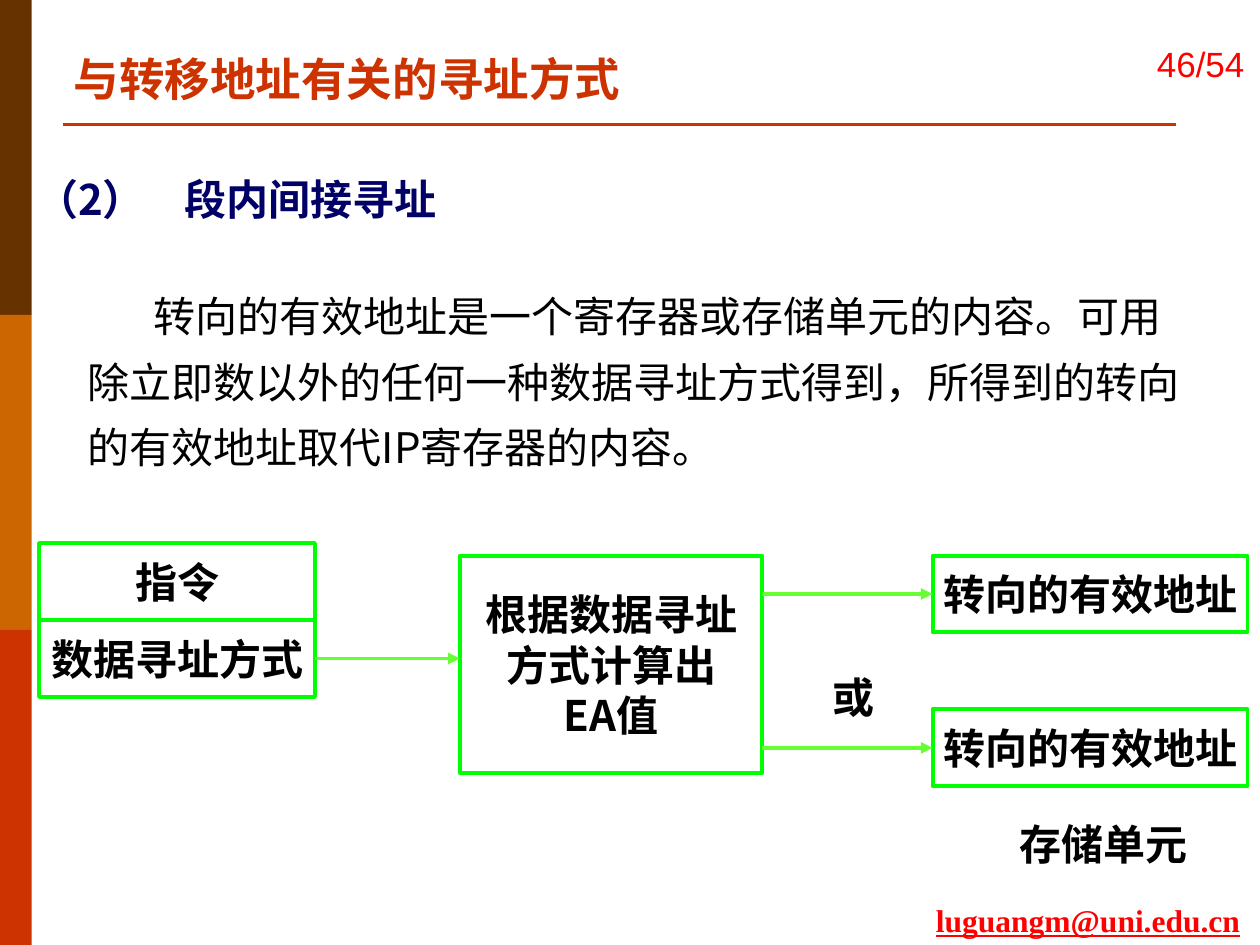
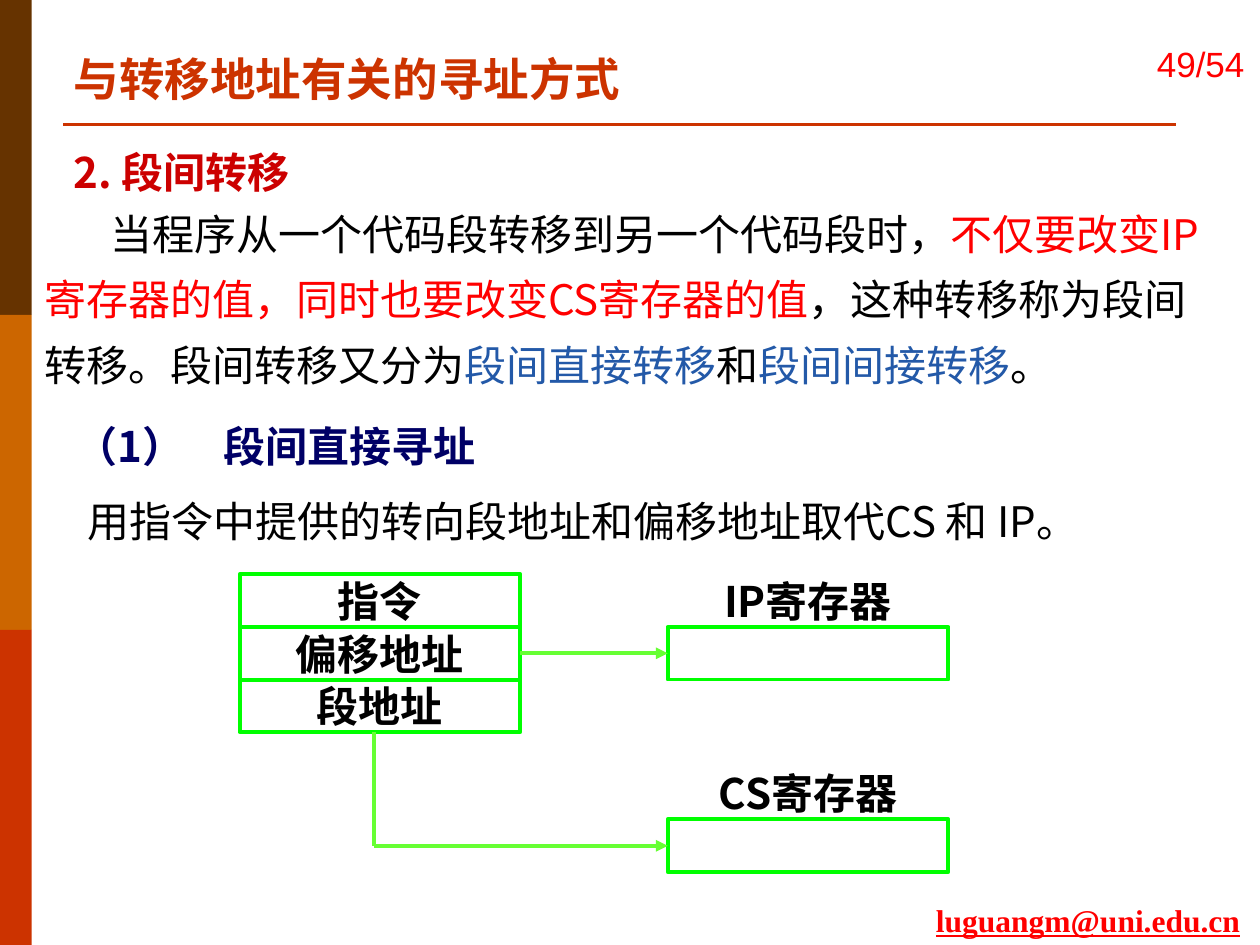
from dataclasses import dataclass
from typing import NamedTuple

from lxml.etree import SubElement
from pptx import Presentation
from pptx.dml.color import RGBColor
from pptx.enum.shapes import MSO_CONNECTOR as Connector, MSO_SHAPE as Preset
from pptx.enum.text import MSO_ANCHOR as Anchor, MSO_AUTO_SIZE as AutoSize, PP_ALIGN as Align
from pptx.oxml.ns import qn
from pptx.util import Cm, Pt

SANS, SERIF = "Noto Sans CJK SC", "Times New Roman"
BLACK, RED, BLUE = "000000", "FF0000", "2359A8"
BROWN, ORANGE, RUST = "663300", "CC6600", "CC3300"
NAVY, CRIMSON = "000066", "CC0000"
BOX_GREEN, ARROW_GREEN = "00FF00", "66FF33"
TITLE = "与转移地址有关的寻址方式"
PAGE_COUNT = 54


class Area(NamedTuple):
    """A rectangle in centimetres."""
    left: float
    top: float
    width: float
    height: float


class Span(NamedTuple):
    text: str
    color: str = BLACK


@dataclass(frozen=True)
class TextStyle:
    size: float = 24
    color: str = BLACK
    bold: bool = False
    underline: bool = False
    font: str = SANS
    align: Align = Align.LEFT
    anchor: Anchor = Anchor.TOP
    line_spacing: float = 1.0
    inset: tuple[float, float] = (0.25, 0.13)
    indent: float = 0
    margin: float = 0


WIDE_INSET = (0.3, 0.15)
TITLE_STYLE = TextStyle(size=26, color=RUST, bold=True, font=SERIF)
EMAIL_STYLE = TextStyle(size=18, color=RED, bold=True, underline=True, font=SERIF,
                        align=Align.RIGHT)
NUMBER_STYLE = TextStyle(size=20, color=RED, font="Arial", align=Align.CENTER,
                         anchor=Anchor.MIDDLE, inset=(0, 0.13))
SECTION_STYLE = TextStyle(color=CRIMSON, bold=True)
# The number hangs left of the heading, which starts after a tab.
HEADING_STYLE = TextStyle(color=NAVY, bold=True, inset=WIDE_INSET, indent=-2.99, margin=2.99)
BODY_STYLE = TextStyle(line_spacing=1.3, indent=1.33)
WIDE_BODY_STYLE = TextStyle(line_spacing=1.3, inset=WIDE_INSET, indent=1.33)
NOTE_STYLE = TextStyle(line_spacing=1.3, inset=WIDE_INSET)
DIAGRAM_STYLE = TextStyle(bold=True, align=Align.CENTER, anchor=Anchor.MIDDLE, inset=(0, 0))


def rgb(color: str) -> RGBColor:
    return RGBColor.from_string(color)


def place(shape, area: Area) -> None:
    shape.left, shape.top, shape.width, shape.height = map(Cm, area)


def write(shape, paragraphs: list[list[Span]], style: TextStyle) -> None:
    frame = shape.text_frame
    frame.text = "\n".join("" for _ in paragraphs)
    frame.word_wrap = True
    frame.auto_size = AutoSize.NONE
    frame.vertical_anchor = style.anchor
    frame.margin_left = frame.margin_right = Cm(style.inset[0])
    frame.margin_top = frame.margin_bottom = Cm(style.inset[1])
    for para, spans in zip(frame.paragraphs, paragraphs):
        para.alignment = style.align
        para.line_spacing = style.line_spacing
        para.space_before = Pt(0)
        for span in spans:
            run = para.add_run()
            run.text = span.text
            font = run.font
            font.name, font.size = style.font, Pt(style.size)
            font.bold, font.underline = style.bold, style.underline
            font.color.rgb = rgb(span.color)
    for properties in shape.element.iter(qn("a:rPr")):
        SubElement(properties, qn("a:ea")).set("typeface", SANS)
    for properties in shape.element.iter(qn("a:pPr")):
        properties.set("marL", str(Cm(style.margin)))
        properties.set("indent", str(Cm(style.indent)))
        SubElement(properties, qn("a:buNone"))
        if style.margin:
            stops = SubElement(properties, qn("a:tabLst"))
            SubElement(stops, qn("a:tab"), pos=str(Cm(style.margin)), algn="l")


def write_plain(shape, text: str, style: TextStyle) -> None:
    """Write text in the one colour of its style, a paragraph for each line."""
    write(shape, [[Span(line, style.color)] for line in text.split("\n")], style)


def add_text(page, area: Area, text: str, style: TextStyle) -> None:
    box = page.shapes.add_textbox(*map(Cm, area))
    write_plain(box, text, style)


def add_bar(page, area: Area, color: str) -> None:
    bar = page.shapes.add_shape(Preset.RECTANGLE, *map(Cm, area))
    bar.shadow.inherit = False
    bar.fill.solid()
    bar.fill.fore_color.rgb = rgb(color)
    bar.line.fill.background()


def add_box(page, area: Area, text: str = ""):
    """Add a green outlined diagram box."""
    box = page.shapes.add_shape(Preset.RECTANGLE, *map(Cm, area))
    box.shadow.inherit = False
    box.fill.background()
    box.line.color.rgb = rgb(BOX_GREEN)
    box.line.width = Pt(2.25)
    if text:
        write_plain(box, text, DIAGRAM_STYLE)
    return box


def add_line(page, start: tuple[float, float], end: tuple[float, float],
             color: str = ARROW_GREEN, width: float = 2.25, arrow: bool = False):
    line = page.shapes.add_connector(Connector.STRAIGHT, *map(Cm, start + end))
    line.line.color.rgb = rgb(color)
    line.line.width = Pt(width)
    if arrow:
        outline = line.element.spPr.find(qn("a:ln"))
        SubElement(outline, qn("a:tailEnd"), type="triangle")
    SubElement(line.element.spPr, qn("a:effectLst"))
    return line


def add_arrow(page, start: tuple[float, float], end: tuple[float, float],
              source=None, target=None) -> None:
    """Add a rightward arrow, joined to the source's right and target's left."""
    arrow = add_line(page, start, end, arrow=True)
    if source is not None:
        arrow.begin_connect(source, 3)
    if target is not None:
        arrow.end_connect(target, 1)


def furnish_layout(page, layout) -> None:
    """Draw the shared frame on a fresh page and hand it over to the layout."""
    bar_height = 6.35
    for index, color in enumerate((BROWN, ORANGE, RUST)):
        add_bar(page, Area(0, index * bar_height, 0.64, bar_height), color)
    add_line(page, (1.27, 2.51), (23.7, 2.51), RUST, 1.5)
    add_text(page, Area(17.25, 18.03, 8, 1.02), "luguangm@uni.edu.cn", EMAIL_STYLE)
    for shape in list(page.shapes):
        if not shape.is_placeholder:
            layout.shapes.element.append(shape.element)


def add_page(deck, layout, number: int, body_area: Area, body: list[Span], style: TextStyle):
    page = deck.slides.add_slide(layout)
    if len(deck.slides) == 1:
        furnish_layout(page, layout)
    place(page.shapes.title, Area(1.24, 0.89, 17.75, 1.37))
    write_plain(page.shapes.title, TITLE, TITLE_STYLE)
    place(page.placeholders[1], body_area)
    write(page.placeholders[1], [body], style)
    add_text(page, Area(23.01, 0.03, 2.39, 2.49), f"{number}/{PAGE_COUNT}", NUMBER_STYLE)
    return page


def build_indirect_page(deck, layout) -> None:
    body = [Span("转向的有效地址是一个寄存器或存储单元的内容。可用除立即数以外的任何一种"
                 "数据寻址方式得到，所得到的转向的有效地址取代IP寄存器的内容。")]
    page = add_page(deck, layout, 46, Area(1.47, 5.41, 22.91, 4.32), body, WIDE_BODY_STYLE)
    add_text(page, Area(0.43, 3.35, 9.58, 1.55), "（2）\t段内间接寻址", HEADING_STYLE)

    row = 1.55
    instruction = Area(0.79, 10.95, 5.56, row)
    add_box(page, instruction, "指令")
    mode = instruction._replace(top=instruction.top + row)
    mode_box = add_box(page, mode, "数据寻址方式")
    calculation = Area(9.27, 11.2, 6.1, 4.39)
    add_box(page, calculation, "根据数据寻址\n方式计算出\nEA值")
    mode_middle = mode.top + row / 2
    add_arrow(page, (mode.left + mode.width, mode_middle), (calculation.left, mode_middle),
              source=mode_box)

    for top in (11.2, 14.3):
        target = Area(18.8, top, 6.35, row)
        target_box = add_box(page, target, "转向的有效地址")
        middle = top + row / 2
        add_arrow(page, (calculation.left + calculation.width, middle), (target.left, middle),
                  target=target_box)
    add_text(page, Area(15.62, 13.28, 3.18, row), "或", DIAGRAM_STYLE)
    add_text(page, Area(20.12, 16.38, 4.24, 1.24), "存储单元", DIAGRAM_STYLE)


def build_intersegment_page(deck, layout) -> None:
    body = [
        Span("当程序从一个代码段转移到另一个代码段时，"),
        Span("不仅要改变IP寄存器的值，同时也要改变CS寄存器的值", RED),
        Span("，这种转移称为段间转移。段间转移又分为"),
        Span("段间直接转移", BLUE),
        Span("和"),
        Span("段间间接转移", BLUE),
        Span("。"),
    ]
    page = add_page(deck, layout, 49, Area(0.64, 3.76, 23.85, 4.27), body, BODY_STYLE)
    add_text(page, Area(1.24, 2.82, 10.06, 1.27), "2. 段间转移", SECTION_STYLE)
    add_text(page, Area(1.22, 8.33, 8.92, 1.19), "（1）\t段间直接寻址", HEADING_STYLE)
    add_text(page, Area(1.47, 9.53, 22.15, 1.55),
             "用指令中提供的转向段地址和偏移地址取代CS 和 IP。", NOTE_STYLE)

    row = 1.06
    stack = Area(4.83, 11.58, 5.66, row)
    fields = ("指令", "偏移地址", "段地址")
    cells = [add_box(page, stack._replace(top=stack.top + index * row), field)
             for index, field in enumerate(fields)]

    register_left = 13.46
    registers = []
    for name, top in (("IP寄存器", stack.top), ("CS寄存器", 15.46)):
        label = Area(register_left, top, stack.width, row)
        add_text(page, label, name, DIAGRAM_STYLE)
        registers.append(add_box(page, label._replace(top=top + row)))
    ip_register, cs_register = registers

    offset_middle = stack.top + 1.5 * row
    add_arrow(page, (stack.left + stack.width, offset_middle), (register_left, offset_middle),
              source=cells[1], target=ip_register)
    corner = (7.54, 17.05)
    add_line(page, (corner[0], stack.top + len(fields) * row), corner)
    add_arrow(page, corner, (register_left, corner[1]), target=cs_register)


def main() -> None:
    deck = Presentation()
    deck.slide_width, deck.slide_height = Cm(25.4), Cm(19.05)
    layout = deck.slide_layouts[1]
    build_indirect_page(deck, layout)
    build_intersegment_page(deck, layout)
    deck.save("out.pptx")


if __name__ == "__main__":
    main()
